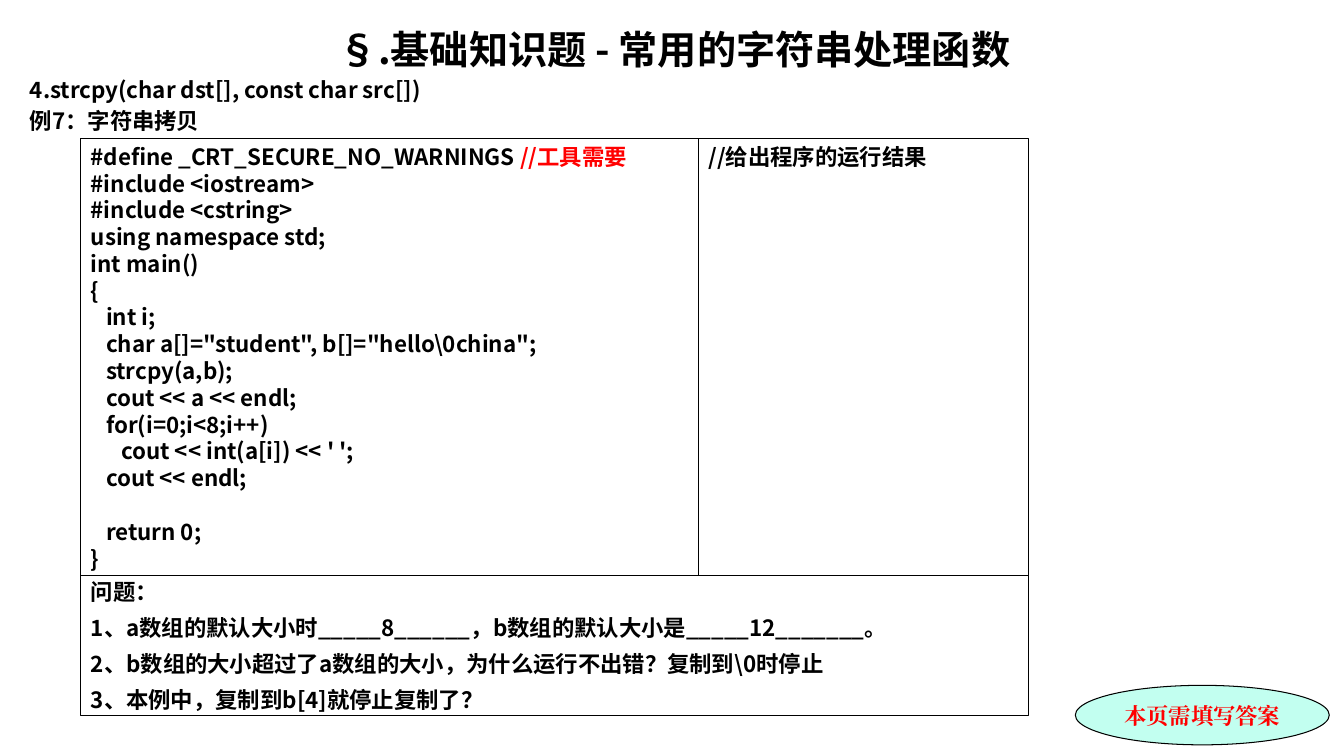
from dataclasses import dataclass

from lxml import etree
from pptx import Presentation
from pptx.dml.color import RGBColor
from pptx.enum.shapes import MSO_SHAPE
from pptx.enum.text import MSO_ANCHOR, MSO_AUTO_SIZE, PP_ALIGN
from pptx.oxml.ns import qn
from pptx.util import Cm, Pt

LEFT, CENTER, JUSTIFY = PP_ALIGN.LEFT, PP_ALIGN.CENTER, PP_ALIGN.JUSTIFY
TOP, MIDDLE = MSO_ANCHOR.TOP, MSO_ANCHOR.MIDDLE
RECTANGLE, OVAL = MSO_SHAPE.RECTANGLE, MSO_SHAPE.OVAL


@dataclass(frozen=True)
class Theme:
    ink: RGBColor = RGBColor(0x00, 0x00, 0x00)
    accent: RGBColor = RGBColor(0xFF, 0x00, 0x00)
    mint: RGBColor = RGBColor(0xC2, 0xFF, 0xF0)
    font: str = "Noto Sans CJK SC"
    note_font: str = "Times New Roman"
    title_size: int = 28
    text_size: int = 16
    leading: float = 1.197
    outline: float = 0.75


theme = Theme()


def write(shape, paragraphs, size=theme.text_size, font=theme.font, color=theme.ink,
          align=LEFT, anchor=MIDDLE, gap=0, margin_top=0.13):
    """Fill a shape; a paragraph is a string or a list of (text, colour) runs."""
    frame = shape.text_frame
    frame.word_wrap = True
    frame.auto_size = MSO_AUTO_SIZE.NONE
    frame.vertical_anchor = anchor
    frame.margin_top = Cm(margin_top)
    for index, content in enumerate(paragraphs):
        paragraph = frame.paragraphs[0] if index == 0 else frame.add_paragraph()
        paragraph.alignment = align
        paragraph.line_spacing = Pt(round(size * theme.leading, 2))
        paragraph.space_before = Pt(gap if index else 0)
        properties = paragraph._p.get_or_add_pPr()
        properties.set("marL", "0")
        properties.set("indent", "0")
        etree.SubElement(properties, qn("a:buNone"))
        runs = [(content, color)] if isinstance(content, str) else content
        for text, run_color in runs:
            if not text:
                continue
            run = paragraph.add_run()
            run.text = text
            run.font.size = Pt(size)
            run.font.bold = True
            run.font.name = font
            run.font.color.rgb = run_color
            east_asian = etree.SubElement(run._r.get_or_add_rPr(), qn("a:ea"))
            east_asian.set("typeface", font)


def add_box(kind, left, top, width, height, fill=None):
    shape = slide.shapes.add_shape(kind, Cm(left), Cm(top), Cm(width), Cm(height))
    shape.shadow.inherit = False
    if fill is None:
        shape.fill.background()
    else:
        shape.fill.solid()
        shape.fill.fore_color.rgb = fill
    shape.line.color.rgb = theme.ink
    shape.line.width = Pt(theme.outline)
    return shape


presentation = Presentation()
presentation.slide_width, presentation.slide_height = Cm(33.87), Cm(19.05)
slide = presentation.slides.add_slide(presentation.slide_layouts[1])

# Title and introduction
title, body = slide.placeholders
for placeholder, top, height in ((title, 0.5, 1.28), (body, 1.78, 1.72)):
    placeholder.left, placeholder.top = Cm(0.5), Cm(top)
    placeholder.width, placeholder.height = Cm(33), Cm(height)
write(title, ["§.基础知识题 - 常用的字符串处理函数"],
      size=theme.title_size, align=CENTER, anchor=TOP)
write(body, ["4.strcpy(char dst[], const char src[])", "例7：字符串拷贝"],
      align=JUSTIFY, anchor=TOP, gap=3.2)

# Answer reminder
reminder = add_box(OVAL, 27.1, 17.27, 6.4, 1.5, fill=theme.mint)
write(reminder, ["本页需填写答案"], font=theme.note_font, color=theme.accent, align=CENTER)

# Grid of the exercise: program and result side by side, questions below
grid_left, grid_top = 2.04, 3.5
code_width, result_width = 15.57, 8.3
code_height, question_height = 11, 3.53

program = r"""#include <iostream>
#include <cstring>
using namespace std;
int main()
{
   int i;
   char a[]="student", b[]="hello\0china";
   strcpy(a,b);
   cout << a << endl;
   for(i=0;i<8;i++)
      cout << int(a[i]) << ' ';
   cout << endl;

   return 0;
}"""
define_line = [("#define _CRT_SECURE_NO_WARNINGS", theme.ink), (" //工具需要", theme.accent)]
code_box = add_box(RECTANGLE, grid_left, grid_top, code_width, code_height)
write(code_box, [define_line, *program.split("\n")])

questions = [
    "问题：",
    "1、a数组的默认大小时_____8______，b数组的默认大小是_____12_______。",
    r"2、b数组的大小超过了a数组的大小，为什么运行不出错？复制到\0时停止",
    "3、本例中，复制到b[4]就停止复制了？",
]
question_box = add_box(RECTANGLE, grid_left, grid_top + code_height,
                       code_width + result_width, question_height)
write(question_box, questions, gap=6.7)

result_box = add_box(RECTANGLE, grid_left + code_width, grid_top, result_width, code_height)
write(result_box, ["//给出程序的运行结果"], anchor=TOP, margin_top=0.1)

presentation.save("out.pptx")
